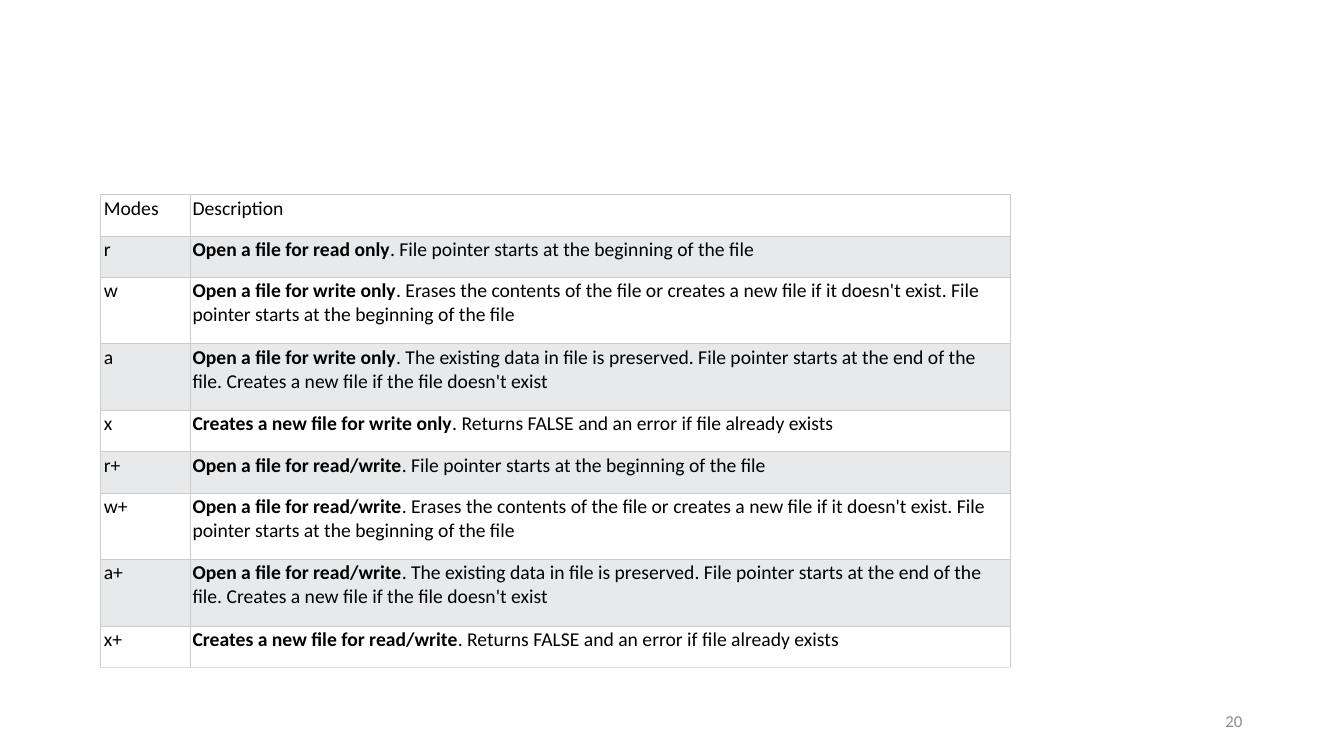
"""Build a slide with a table of file opening modes."""
from dataclasses import dataclass

from lxml import etree
from pptx import Presentation
from pptx.dml.color import RGBColor
from pptx.enum.text import MSO_ANCHOR, PP_ALIGN
from pptx.oxml.ns import qn
from pptx.util import Inches, Pt

LEFT, RIGHT = PP_ALIGN.LEFT, PP_ALIGN.RIGHT
TOP, MIDDLE = MSO_ANCHOR.TOP, MSO_ANCHOR.MIDDLE
GRID_COLS, GRID_ROWS = 1333, 750
WIDTH, HEIGHT = Inches(13.33), Inches(7.5)
WHITE, GREY, BLACK = "FFFFFF", "E7E9EB", "000000"
EDGE, LAST_EDGE, FAINT = "CCCCCC", "DDDDDD", "8C8C8C"
COL_SPANS = (90, 813)
SHORT, TALL = 41, 66
START = ". File pointer starts at the beginning of the file"
ERASE = (". Erases the contents of the file or creates a new file if it doesn't exist."
         " File pointer starts at the beginning of the file")
KEEP = (". The existing data in file is preserved. File pointer starts at the end of the file."
        " Creates a new file if the file doesn't exist")
FAIL = ". Returns FALSE and an error if file already exists"


@dataclass
class Mode:
    """One table row: mode, bold lead, plain rest and height in grid rows."""
    name: str
    lead: str
    rest: str
    span: int = SHORT


MODES = [
    Mode("Modes", "", "Description"),
    Mode("r", "Open a file for read only", START),
    Mode("w", "Open a file for write only", ERASE, TALL),
    Mode("a", "Open a file for write only", KEEP, TALL),
    Mode("x", "Creates a new file for write only", FAIL),
    Mode("r+", "Open a file for read/write", START),
    Mode("w+", "Open a file for read/write", ERASE, TALL),
    Mode("a+", "Open a file for read/write", KEEP, TALL),
    Mode("x+", "Creates a new file for read/write", FAIL),
]


def across(cols: float) -> int:
    """Turn grid columns into a length."""
    return round(WIDTH * cols / GRID_COLS)


def down(rows: float) -> int:
    """Turn grid rows into a length."""
    return round(HEIGHT * rows / GRID_ROWS)


def paint(hue: str) -> RGBColor:
    """Turn a hex string into a colour."""
    return RGBColor.from_string(hue)


def write(frame, text: str, lead: str = "", size: int = 14, hue: str = BLACK,
          align=LEFT) -> None:
    """Write an optional bold lead and plain text into a frame."""
    para = frame.paragraphs[0]
    para.alignment = align
    for part, bold in ((lead, True), (text, False)):
        if part:
            run = para.add_run()
            run.text = part
            font = run.font
            font.name, font.size, font.bold = "Calibri", Pt(size), bold
            font.color.rgb = paint(hue)


def edge(cell, side: str, hue: str) -> None:
    """Draw one thin border of a cell."""
    props = cell._tc.get_or_add_tcPr()
    line = etree.SubElement(props, qn(f"a:ln{side}"), w=str(Pt(0.38)))
    fill = etree.SubElement(line, qn("a:solidFill"))
    etree.SubElement(fill, qn("a:srgbClr"), val=hue)


def add_modes(slide) -> None:
    """Add the table of modes."""
    table = slide.shapes.add_table(
        len(MODES), len(COL_SPANS), across(99), down(193),
        across(sum(COL_SPANS)), down(sum(mode.span for mode in MODES))).table
    for col, span in zip(table.columns, COL_SPANS):
        col.width = across(span)
    for num, (row, mode) in enumerate(zip(table.rows, MODES)):
        row.height = down(mode.span)
        texts = ((mode.name, "", 4), (mode.rest, mode.lead, 2))
        for cell, (text, lead, inset) in zip(row.cells, texts):
            for side in "LRTB":
                last = side == "B" and mode is MODES[-1]
                edge(cell, side, LAST_EDGE if last else EDGE)
            cell.fill.solid()
            cell.fill.fore_color.rgb = paint(GREY if num % 2 else WHITE)
            cell.margin_left, cell.margin_right = across(inset), across(2)
            cell.margin_top = cell.margin_bottom = down(2)
            cell.vertical_anchor = TOP
            write(cell.text_frame, text, lead=lead)


def add_page(slide) -> None:
    """Add the page number."""
    box = slide.shapes.add_textbox(across(942), down(695), across(300), down(40))
    frame = box.text_frame
    frame.word_wrap = True
    frame.vertical_anchor = MIDDLE
    write(frame, "20", size=12, hue=FAINT, align=RIGHT)


def main() -> None:
    """Build and save the slide."""
    deck = Presentation()
    deck.slide_width, deck.slide_height = WIDTH, HEIGHT
    slide = deck.slides.add_slide(deck.slide_layouts[6])
    add_modes(slide)
    add_page(slide)
    deck.save("out.pptx")


if __name__ == "__main__":
    main()
